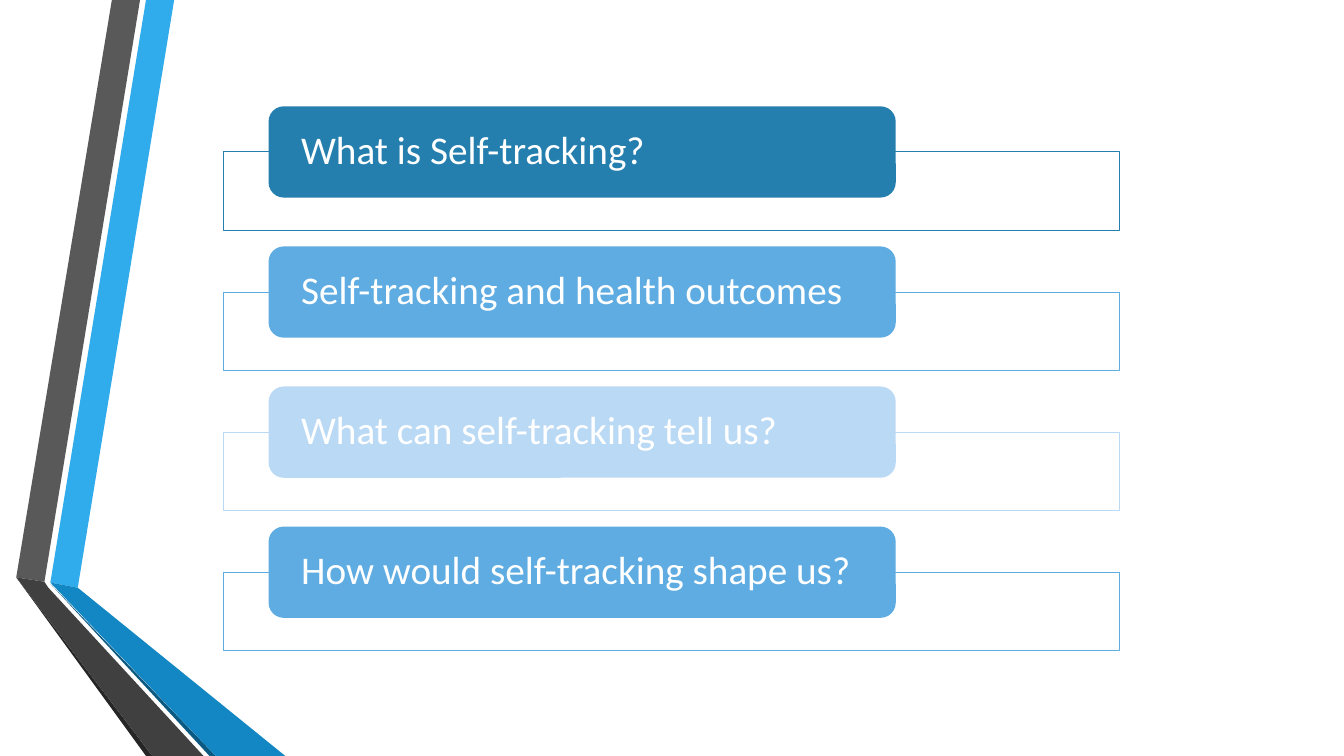
from lxml import etree
from pptx import Presentation
from pptx import util as u
from pptx.dml.color import RGBColor
from pptx.enum import shapes, text
from pptx.oxml import ns

WHITE = RGBColor(0xFF, 0xFF, 0xFF)
DEEP_BLUE = RGBColor(0x24, 0x7F, 0xAF)
MID_BLUE = RGBColor(0x5E, 0xAC, 0xE2)
PALE_BLUE = RGBColor(0xBA, 0xD9, 0xF4)
SKY = RGBColor(0x30, 0xAC, 0xEC)
OCEAN = RGBColor(0x12, 0x87, 0xC3)
NAVY = RGBColor(0x0C, 0x5A, 0x82)
GREY = RGBColor(0x59, 0x59, 0x59)
CHARCOAL = RGBColor(0x40, 0x40, 0x40)
NEAR_BLACK = RGBColor(0x26, 0x26, 0x26)

HEIGHT = 19.05
QUESTIONS = [
    ("What is Self-tracking?", DEEP_BLUE),
    ("Self-tracking and health outcomes", MID_BLUE),
    ("What can self-tracking tell us?", PALE_BLUE),
    ("How would self-tracking shape us?", MID_BLUE),
]
RIBBON_FACES = [
    (SKY, [(1.27, 14.68), (1.96, 14.81), (4.39, 0), (3.68, 0)]),
    (GREY, [(0.41, 14.55), (1.12, 14.66), (3.53, 0), (2.82, 0)]),
    (NEAR_BLACK, [(0.41, 14.55), (3.68, HEIGHT), (3.84, HEIGHT)]),
    (NAVY, [(1.27, 14.71), (5.28, HEIGHT), (5.44, HEIGHT)]),
    (OCEAN, [(1.27, 14.68), (5.44, HEIGHT), (7.19, HEIGHT), (1.96, 14.81)]),
    (CHARCOAL, [(0.41, 14.55), (3.84, HEIGHT), (5.13, HEIGHT),
                (1.22, 14.81), (1.12, 14.66)]),
]


def paint(shape, fill, line=None, opacity=100):
    shape.shadow.inherit = False
    shape.fill.solid()
    shape.fill.fore_color.rgb = fill
    if opacity < 100:
        colour = shape.fill._xPr.find(".//" + ns.qn("a:srgbClr"))
        etree.SubElement(colour, ns.qn("a:alpha"), val=str(opacity * 1000))
    if line is None:
        shape.line.fill.background()
    else:
        shape.line.color.rgb = line
        shape.line.width = u.Pt(0.75)


def write(shape, words, size=28, font="Calibri", colour=WHITE, inset=0.71):
    frame = shape.text_frame
    frame.word_wrap = True
    frame.vertical_anchor = text.MSO_ANCHOR.MIDDLE
    frame.margin_left = frame.margin_right = u.Cm(inset)
    frame.margin_top = frame.margin_bottom = 0
    para = frame.paragraphs[0]
    para.alignment = text.PP_ALIGN.LEFT
    para.line_spacing = 0.9
    span = para.add_run()
    span.text = words
    span.font.size = u.Pt(size)
    span.font.name = font
    span.font.color.rgb = colour


def add_ribbons(page, left, top):
    for colour, corners in RIBBON_FACES:
        points = [(u.Cm(left + x), u.Cm(top + y)) for x, y in corners]
        builder = page.shapes.build_freeform(*points[0])
        builder.add_line_segments(points[1:], close=True)
        paint(builder.convert_to_shape(), colour)


def add_question(page, left, top, width, words, colour):
    panel = page.shapes.add_shape(
        shapes.MSO_SHAPE.RECTANGLE,
        u.Cm(left), u.Cm(top + 1.15), u.Cm(width), u.Cm(1.97))
    paint(panel, WHITE, line=colour, opacity=90)
    label = page.shapes.add_shape(
        shapes.MSO_SHAPE.ROUNDED_RECTANGLE,
        u.Cm(left + width * 0.05), u.Cm(top), u.Cm(width * 0.7), u.Cm(2.3))
    paint(label, colour)
    write(label, words)


def add_agenda(page, left, top, width, pitch):
    for row, (words, colour) in enumerate(QUESTIONS):
        add_question(page, left, top + row * pitch, width, words, colour)


deck = Presentation()
deck.slide_width = u.Cm(33.87)
deck.slide_height = u.Cm(HEIGHT)
page = deck.slides.add_slide(deck.slide_layouts[6])
add_ribbons(page, 0, 0)
add_agenda(page, left=5.64, top=2.68, width=22.58, pitch=3.53)
deck.save("out.pptx")
